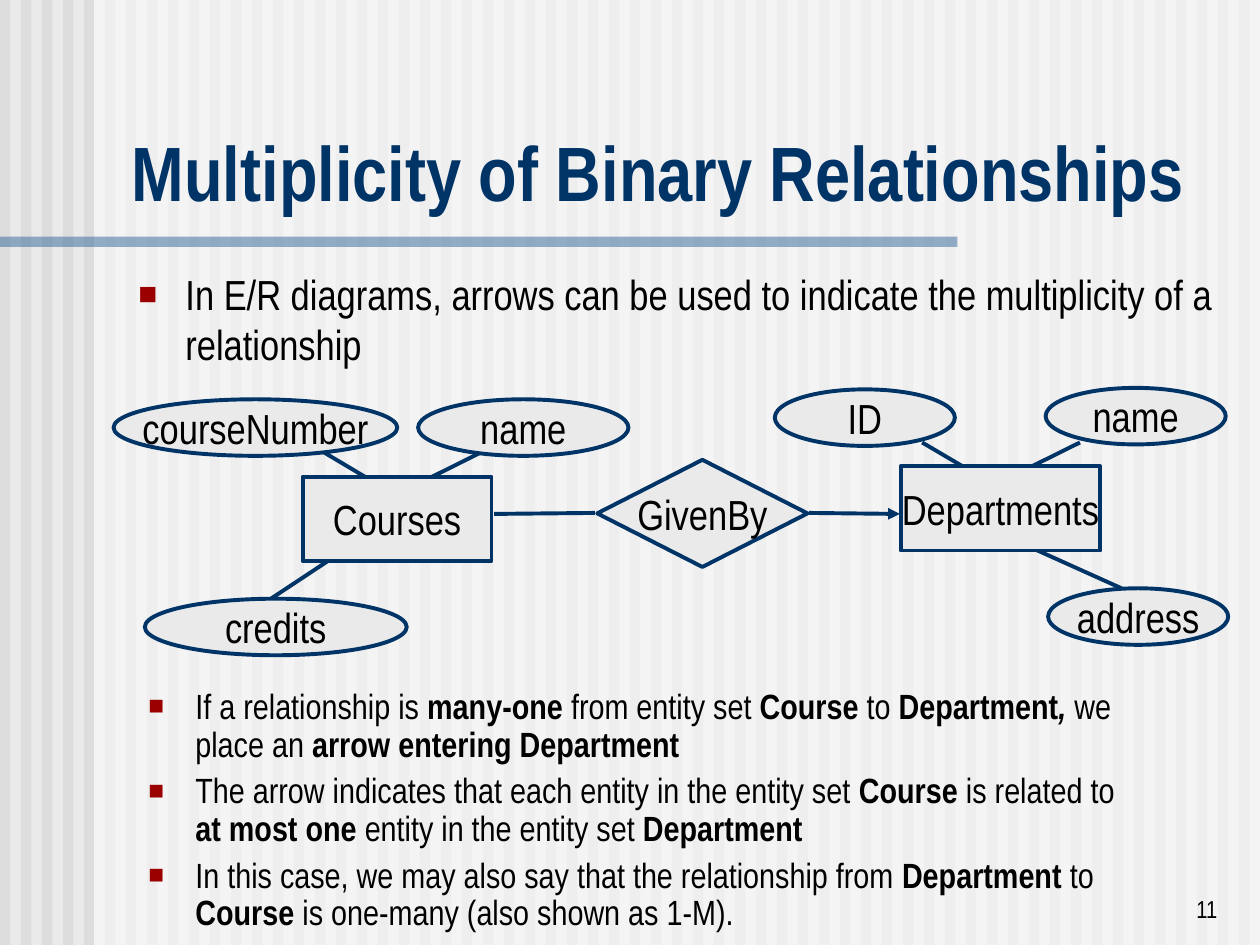
"""Build the slide on the multiplicity of binary relationships."""
import lxml.etree
import pptx
import pptx.dml.color
import pptx.enum.shapes
import pptx.enum.text
import pptx.oxml
import pptx.oxml.ns
import pptx.util

Cm = pptx.util.Cm
Pt = pptx.util.Pt
kinds = pptx.enum.shapes.MSO_SHAPE
sides = pptx.enum.text.PP_ALIGN
holds = pptx.enum.text.MSO_ANCHOR
navy, pale, black = "003366", "EAEAEA", "000000"


def hue(code):
    return pptx.dml.color.RGBColor.from_string(code)


def add(node, tag, **keys):
    return lxml.etree.SubElement(node, pptx.oxml.ns.qn(tag), **keys)


deck = pptx.Presentation()
deck.slide_width, deck.slide_height = Cm(25.4), Cm(19.05)
slide = deck.slides.add_slide(deck.slide_layouts[6])
slide.background.fill.solid()
slide.background.fill.fore_color.rgb = hue(pale)
shapes = slide.shapes

bands = [(i * 25.4 / 60, 0, 0.21, 19.05, "DDDDDD", 100) for i in range(60)]
bands += [(1.9, 0, 23.5, 19.05, "FFFFFF", 50), (0, 4.77, 19.3, 0.21, "336699", 50)]
for left, top, wide, high, code, alpha in bands:
    band = shapes.add_shape(kinds.RECTANGLE, Cm(left), Cm(top), Cm(wide), Cm(high))
    band.shadow.inherit = False
    band.line.fill.background()
    band.fill.solid()
    band.fill.fore_color.rgb = hue(code)
    if alpha < 100:
        tint = band.fill._xPr.find(".//" + pptx.oxml.ns.qn("a:srgbClr"))
        add(tint, "a:alpha", val=str(alpha * 1000))

links = [
    (11.99, 10.34, 9.96, 10.36, False),
    (16.31, 10.34, 18.14, 10.36, True),
    (20.7, 11, 22.61, 11.86, False),
    (18.59, 8.92, 19.66, 9.55, False),
    (21.77, 8.92, 20.5, 9.55, False),
    (6.73, 11.23, 5.46, 12.07, False),
    (6.53, 9.12, 7.59, 9.75, False),
    (9.7, 9.12, 8.43, 9.75, False),
]
for x1, y1, x2, y2, arrow in links:
    link = shapes.add_connector(
        pptx.enum.shapes.MSO_CONNECTOR.STRAIGHT, Cm(x1), Cm(y1), Cm(x2), Cm(y2))
    link.line.color.rgb = hue(navy)
    link.line.width = Pt(2.25)
    if arrow:
        add(link.line._get_or_add_ln(), "a:tailEnd", type="triangle")
    add(link._element.spPr, "a:effectLst")

nodes = [
    ("GivenBy", kinds.DIAMOND, 12.04, 9.27, 4.24, 2.16),
    ("ID", kinds.OVAL, 15.62, 7.85, 3.63, 1.14),
    ("name", kinds.OVAL, 21.08, 7.82, 3.63, 1.14),
    ("Departments", kinds.RECTANGLE, 18.16, 9.4, 4.02, 1.7),
    ("address", kinds.OVAL, 21.13, 11.86, 3.63, 1.14),
    ("courseNumber", kinds.OVAL, 2.29, 8.05, 5.72, 1.14),
    ("name", kinds.OVAL, 8.43, 8.05, 4.24, 1.14),
    ("Courses", kinds.RECTANGLE, 6.1, 9.61, 3.81, 1.7),
    ("credits", kinds.OVAL, 2.92, 12.07, 5.28, 1.14),
]
for name, kind, left, top, wide, high in nodes:
    node = shapes.add_shape(kind, Cm(left), Cm(top), Cm(wide), Cm(high))
    node.shadow.inherit = False
    node.fill.solid()
    node.fill.fore_color.rgb = hue(pale)
    node.line.color.rgb = hue(navy)
    node.line.width = Pt(2.25)
    frame = node.text_frame
    frame.word_wrap = False
    frame.vertical_anchor = holds.MIDDLE
    para = frame.paragraphs[0]
    para.alignment = sides.CENTER
    run = para.add_run()
    run.text = name
    run.font.name, run.font.size = "Arial Narrow", Pt(24)
    run.font.color.rgb = hue(black)

title = [[("Multiplicity of Binary Relationships", "b")]]
intro = [[("In E/R diagrams, arrows can be used to indicate "
           "the multiplicity of a relationship", "")]]
rules = [
    [("If a relationship is ", ""), ("many-one", "b"), (" from entity set ", ""),
     ("Course", "b"), (" to ", ""), ("Department", "b"), (",", "bi"),
     (" we place an ", ""), ("arrow entering Department", "b")],
    [("The arrow indicates that each entity in the entity set ", ""),
     ("Course", "b"), (" is related to ", ""), ("at most one", "b"),
     (" entity in the entity set ", ""), ("Department", "b")],
    [("In this case, we may also say that the relationship from", ""),
     (" Department ", "b"), ("to", ""), (" Course ", "b"),
     ("is one-many (also shown as 1-M).", "")],
]
texts = [
    (title, 2.41, 2.39, 22.68, 2.11, 44, navy, holds.BOTTOM, sides.LEFT, 1, False),
    (intro, 2.54, 5.28, 22.53, 2.34, 24, black, holds.TOP, sides.LEFT, 1, True),
    (rules, 2.74, 13.77, 20.52, 5.28, 20, black, holds.TOP, sides.LEFT, 0.9, True),
    ([[("11", "")]], 19.51, 17.48, 5.28, 1.27, 14, black, holds.BOTTOM,
     sides.RIGHT, 1, False),
]
for paras, left, top, wide, high, size, code, hold, side, space, mark in texts:
    frame = shapes.add_textbox(Cm(left), Cm(top), Cm(wide), Cm(high)).text_frame
    frame.word_wrap = True
    frame.vertical_anchor = hold
    for i, runs in enumerate(paras):
        para = frame.add_paragraph() if i else frame.paragraphs[0]
        para.alignment = side
        para.line_spacing = space
        para.space_before = Pt(5 if i else 0)
        if mark:
            props = para._p.get_or_add_pPr()
            props.set("marL", str(Cm(0.95)))
            props.set("indent", str(-Cm(0.95)))
            add(add(props, "a:buClr"), "a:srgbClr", val="9A0000")
            add(props, "a:buSzPct", val="75000")
            add(props, "a:buFont", typeface="Arial")
            add(props, "a:buChar", char="■")
        for words, style in runs:
            run = para.add_run()
            run.text = words
            run.font.name, run.font.size = "Arial Narrow", Pt(size)
            run.font.color.rgb = hue(code)
            run.font.bold = "b" in style
            run.font.italic = "i" in style

deck.save("out.pptx")
